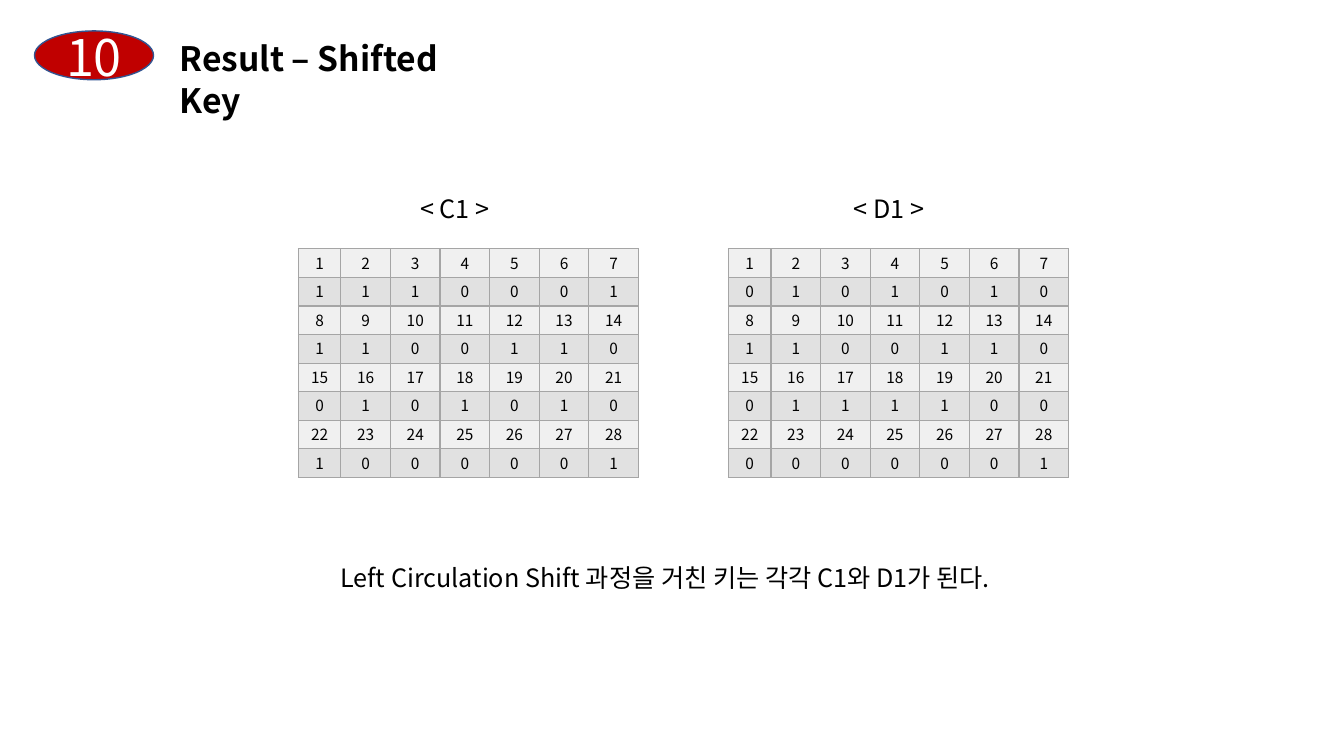
import dataclasses

import lxml.etree
import pptx
import pptx.dml.color
import pptx.enum.shapes
import pptx.enum.text
import pptx.oxml
import pptx.oxml.ns
import pptx.util

Cm = pptx.util.Cm
Pt = pptx.util.Pt
ALIGN = pptx.enum.text.PP_ALIGN
ANCHOR = pptx.enum.text.MSO_ANCHOR


@dataclasses.dataclass(frozen=True)
class Theme:
    font: str = "Noto Sans CJK KR"
    ink: str = "000000"
    white: str = "FFFFFF"
    badge: str = "C00000"
    badge_line: str = "325491"
    grid: str = "A5A5A5"
    number_fill: str = "F0F0F0"
    bit_fill: str = "E1E1E1"
    badge_size: int = 36
    title_size: int = 24
    text_size: int = 18
    cell_size: int = 11
    leading: float = 1.26


theme = Theme()


def color(code):
    return pptx.dml.color.RGBColor.from_string(code)


def write(frame, text, size, ink=theme.ink, align=ALIGN.LEFT, bold=False):
    para = frame.paragraphs[0]
    para.alignment = align
    para.line_spacing = Pt(size * theme.leading)
    span = para.add_run()
    span.text = text
    span.font.name = theme.font
    span.font.size = Pt(size)
    span.font.bold = bold
    span.font.color.rgb = color(ink)
    east = lxml.etree.SubElement(span.font._element, pptx.oxml.ns.qn("a:ea"))
    east.set("typeface", theme.font)


deck = pptx.Presentation()
deck.slide_width = Cm(33.87)
deck.slide_height = Cm(19.05)
page = deck.slides.add_slide(deck.slide_layouts[5])

badge = page.shapes.add_shape(
    pptx.enum.shapes.MSO_SHAPE.FLOWCHART_CONNECTOR, Cm(0.87), Cm(0.78), Cm(3), Cm(1.23)
)
badge.shadow.inherit = False
badge.fill.solid()
badge.fill.fore_color.rgb = color(theme.badge)
badge.line.color.rgb = color(theme.badge_line)
badge.line.width = Pt(1)
badge.text_frame.word_wrap = False
badge.text_frame.vertical_anchor = ANCHOR.MIDDLE
badge.text_frame.margin_top = badge.text_frame.margin_bottom = 0
write(badge.text_frame, "10", theme.badge_size, theme.white, ALIGN.CENTER)

title = page.shapes.title
title.left, title.top, title.width, title.height = Cm(4.27), Cm(0.78), Cm(8.74), Cm(1.27)
title.text_frame.auto_size = pptx.enum.text.MSO_AUTO_SIZE.NONE
title.text_frame.word_wrap = False
title.text_frame.vertical_anchor = ANCHOR.TOP
write(title.text_frame, "Result – Shifted Key", theme.title_size, bold=True)

column_widths = [1.07] + [1.25] * 6
row_height = 0.72
key_halves = [
    (7.52, ["1110001", "1100110", "0101010", "1000001"]),
    (18.36, ["0101010", "1100110", "0111100", "0000001"]),
]
for left, bit_rows in key_halves:
    rows = []
    for group, bits in enumerate(bit_rows):
        rows.append([str(group * 7 + place) for place in range(1, 8)])
        rows.append(list(bits))
    grid = page.shapes.add_table(
        len(rows), 7, Cm(left), Cm(6.27), Cm(sum(column_widths)), Cm(row_height * len(rows))
    ).table
    for column, width in zip(grid.columns, column_widths):
        column.width = Cm(width)
    for row_index, values in enumerate(rows):
        grid.rows[row_index].height = Cm(row_height)
        for column_index, value in enumerate(values):
            cell = grid.cell(row_index, column_index)
            cell.margin_left = cell.margin_right = Cm(0.1)
            cell.margin_top = Cm(0.13)
            cell.margin_bottom = Cm(0.05)
            cell.vertical_anchor = ANCHOR.TOP
            properties = cell._tc.get_or_add_tcPr()
            for side in ("lnL", "lnR", "lnT", "lnB"):
                properties.append(pptx.oxml.parse_xml(
                    f'<a:{side} {pptx.oxml.ns.nsdecls("a")} w="{Pt(1)}"><a:solidFill>'
                    f'<a:srgbClr val="{theme.grid}"/></a:solidFill></a:{side}>'
                ))
            cell.fill.solid()
            cell.fill.fore_color.rgb = color(
                theme.bit_fill if row_index % 2 else theme.number_fill
            )
            write(cell.text_frame, value, theme.cell_size, align=ALIGN.CENTER)

captions = [
    ("< C1 >", 10.34, 4.72, 3.58),
    ("< D1 >", 21.26, 4.72, 3.58),
    ("Left Circulation Shift 과정을 거친 키는 각각 C1와 D1가 된다.", 8.33, 14, 17.98),
]
for text, left, top, width in captions:
    box = page.shapes.add_textbox(Cm(left), Cm(top), Cm(width), Cm(1.02))
    box.text_frame.word_wrap = True
    write(box.text_frame, text, theme.text_size)

deck.save("out.pptx")
